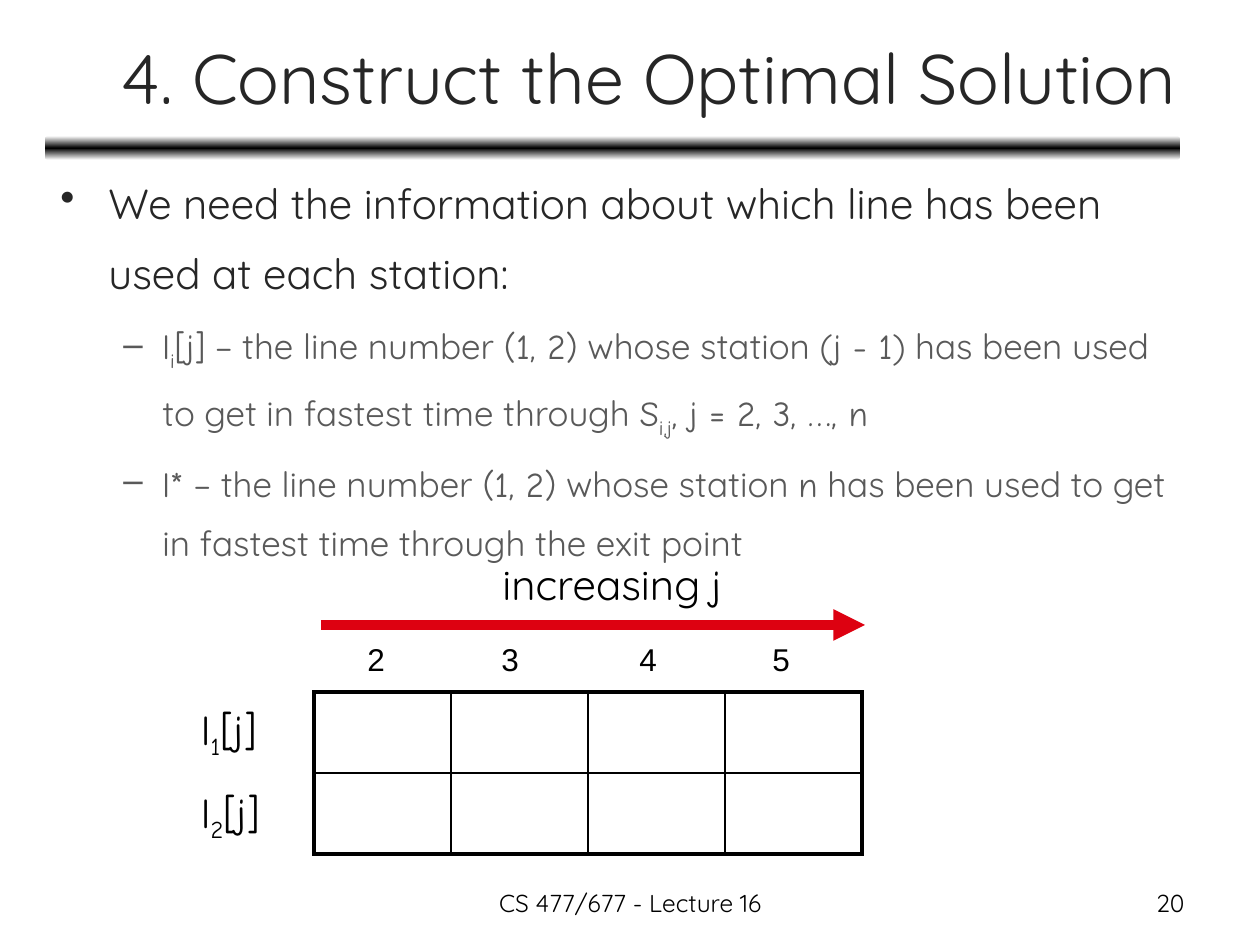
from copy import deepcopy
from dataclasses import dataclass

from lxml import etree
from pptx import Presentation, util as u
from pptx.dml.color import RGBColor
from pptx.enum import shapes, text
from pptx.oxml.ns import qn

SCALE = u.Inches(1) / 126  # EMU per pixel


@dataclass(frozen=True)
class Theme:
    sans: str = "Quicksand"
    comic: str = "Comic Neue"
    plain: str = "Arial"
    black: str = "000000"
    white: str = "FFFFFF"
    dark: str = "262626"
    gray: str = "595959"
    red: str = "DD0111"
    title: int = 40
    large: int = 24
    medium: int = 20
    label: int = 18
    footer: int = 14
    thick: float = 2.25
    thin: float = 1


THEME = Theme()


@dataclass(frozen=True)
class Span:
    words: str
    font: str = THEME.sans
    sub: bool = False


@dataclass(frozen=True)
class Bullet:
    mark: str
    indent: int
    hang: int
    size: int
    color: str
    spans: list[Span]


@dataclass(frozen=True)
class Label:
    left: int
    top: int
    width: int
    height: int
    spans: list[Span]
    size: int
    align: text.PP_ALIGN = text.PP_ALIGN.LEFT
    wrap: bool = False


def px(value: float) -> u.Emu:
    return u.Emu(round(value * SCALE))


def comic(words: str, sub: bool = False) -> Span:
    return Span(words, THEME.comic, sub)


def write(para, spans: list[Span], *, size: int, color: str = THEME.black,
          align=text.PP_ALIGN.LEFT) -> None:
    para.alignment = align
    for item in spans:
        span = para.add_run()
        span.text = item.words
        span.font.name = item.font
        span.font.size = u.Pt(size)
        span.font.color.rgb = RGBColor.from_string(color)
        if item.sub:
            span.font._element.set("baseline", "-25000")


def add_label(page, label: Label) -> None:
    box = page.shapes.add_textbox(*map(px, (label.left, label.top, label.width, label.height)))
    frame = box.text_frame
    frame.word_wrap = label.wrap
    if not label.wrap:
        frame.auto_size = text.MSO_AUTO_SIZE.SHAPE_TO_FIT_TEXT
    write(frame.paragraphs[0], label.spans, size=label.size, align=label.align)


def add_bullets(page, bullets: list[Bullet]) -> None:
    frame = page.shapes.add_textbox(px(48), px(151), px(1134), px(412)).text_frame
    frame.word_wrap = True
    for index, bullet in enumerate(bullets):
        para = frame.add_paragraph() if index else frame.paragraphs[0]
        para.line_spacing = 1.4
        para.space_before = u.Pt(round(bullet.size * 0.2))
        write(para, bullet.spans, size=bullet.size, color=bullet.color)
        props = para._p.get_or_add_pPr()
        props.set("marL", str(px(bullet.indent)))
        props.set("indent", str(-px(bullet.hang)))
        etree.SubElement(props, qn("a:buChar")).set("char", bullet.mark)


def add_rule(page) -> None:
    rule = page.shapes.add_shape(shapes.MSO_SHAPE.ROUNDED_RECTANGLE,
                                 px(45), px(136), px(1135), px(24))
    rule.shadow.inherit = False
    rule.line.fill.background()
    rule.fill.gradient()
    rule.fill.gradient_angle = 90
    last = rule._element.spPr.findall(".//" + qn("a:gs"))[-1]
    last.addprevious(deepcopy(last))
    colors = (THEME.white, THEME.black, THEME.white)
    for index, (stop, color) in enumerate(zip(rule.fill.gradient_stops, colors)):
        stop.position = index / 2
        stop.color.rgb = RGBColor.from_string(color)


def add_arrow(page) -> None:
    arrow = page.shapes.add_connector(shapes.MSO_CONNECTOR.STRAIGHT,
                                      px(321), px(625), px(865), px(625))
    arrow.line.color.rgb = RGBColor.from_string(THEME.red)
    arrow.line.width = u.Pt(6)
    etree.SubElement(arrow.line._get_or_add_ln(), qn("a:tailEnd")).set("type", "triangle")
    etree.SubElement(arrow._element.spPr, qn("a:effectLst"))


def set_border(cell, side: str, width: float) -> None:
    line = etree.SubElement(cell._tc.get_or_add_tcPr(), qn(f"a:ln{side}"))
    line.set("w", str(u.Pt(width)))
    fill = etree.SubElement(line, qn("a:solidFill"))
    etree.SubElement(fill, qn("a:srgbClr")).set("val", THEME.black)


def add_grid(page, rows: int, columns: int) -> None:
    table = page.shapes.add_table(rows, columns, px(314), px(692),
                                  px(137 * columns), px(81 * rows)).table
    table.first_row = table.horz_banding = False
    for row in range(rows):
        for column in range(columns):
            cell = table.cell(row, column)
            outer = {"L": column == 0, "R": column == columns - 1,
                     "T": row == 0, "B": row == rows - 1}
            for side, edge in outer.items():
                set_border(cell, side, THEME.thick if edge else THEME.thin)
            cell.fill.background()


BULLETS = [
    Bullet("•", 48, 48, THEME.large, THEME.dark, [
        Span("We need the information about which line has been used at each station:")]),
    Bullet("–", 102, 39, THEME.medium, THEME.gray, [
        comic("l"), comic("i", sub=True), comic("[j]"), Span(" – the line number "),
        comic("(1, 2)"), Span(" whose station ("), comic("j - 1"),
        Span(") has been used to get in fastest time through "),
        comic("S"), comic("i,j", sub=True), comic(", j = 2, 3, …, n")]),
    Bullet("–", 102, 39, THEME.medium, THEME.gray, [
        comic("l*"), Span(" – the line number "), comic("(1, 2)"), Span(" whose station "),
        comic("n"), Span(" has been used to get in fastest time through the exit point")]),
]

LABELS = [
    # Row names
    *[Label(189, 697 + 83 * row, 100, 63,
            [comic("l"), comic(str(row + 1), sub=True), comic("[j]")], THEME.large)
      for row in range(2)],
    # Column numbers
    *[Label(left, 634, 43, 50, [Span(str(number), THEME.plain)], THEME.label)
      for number, left in enumerate((355, 489, 627, 760), start=2)],
    # Arrow caption
    Label(490, 552, 265, 64, [Span("increasing "), comic("j")], THEME.large),
    # Footer and page number
    Label(431, 882, 399, 44, [Span("CS 477/677 - Lecture 16")], THEME.footer,
          text.PP_ALIGN.CENTER, True),
    Label(903, 882, 294, 44, [Span("20")], THEME.footer, text.PP_ALIGN.RIGHT, True),
]


def main() -> None:
    deck = Presentation()
    deck.slide_width, deck.slide_height = px(1260), px(945)
    page = deck.slides.add_slide(deck.slide_layouts[5])

    # Title and rule
    add_rule(page)
    title = page.shapes.title
    title.left, title.top, title.width, title.height = map(px, (47, 14, 1203, 125))
    title.text_frame.vertical_anchor = text.MSO_ANCHOR.MIDDLE
    title.text_frame.auto_size = text.MSO_AUTO_SIZE.NONE
    write(title.text_frame.paragraphs[0], [Span("4. Construct the Optimal Solution")],
          size=THEME.title, color=THEME.dark, align=text.PP_ALIGN.CENTER)

    # Body, grid and labels
    add_bullets(page, BULLETS)
    add_grid(page, rows=2, columns=4)
    add_arrow(page)
    for label in LABELS:
        add_label(page, label)

    deck.save("out.pptx")


main()
